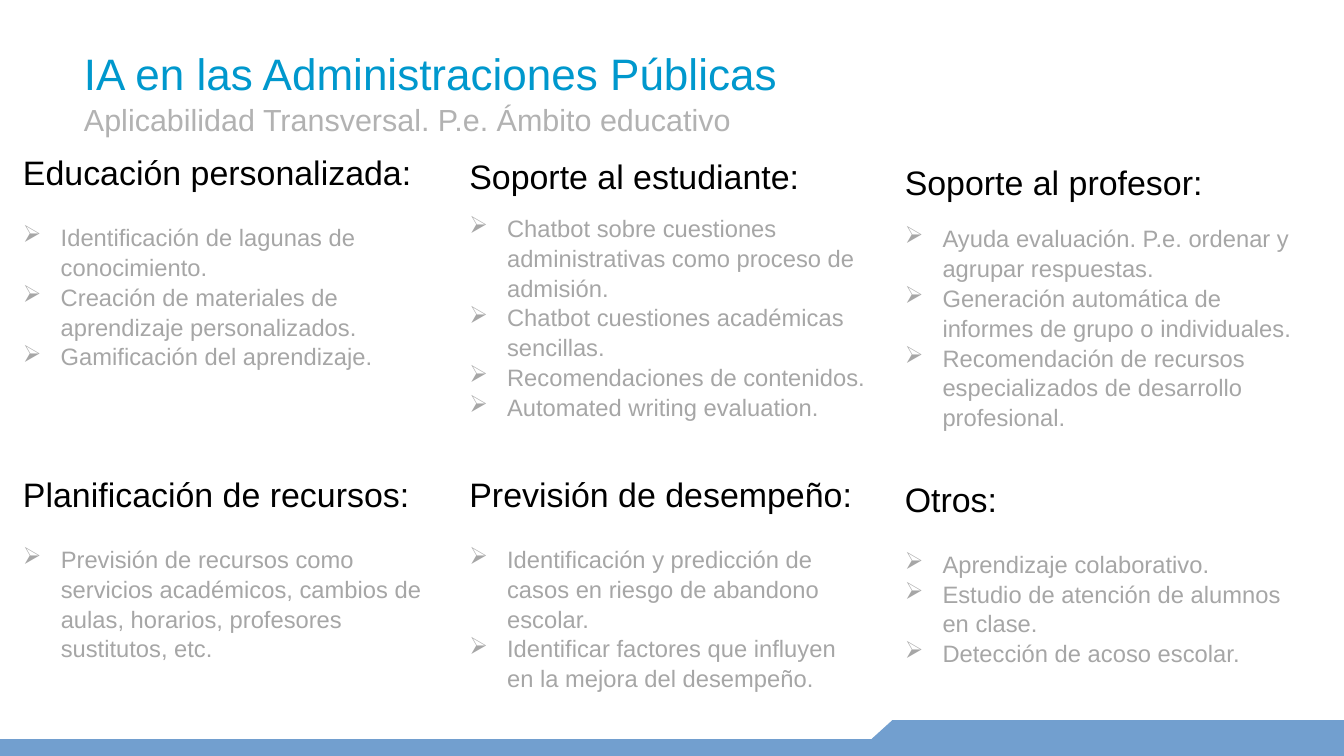
from pptx import Presentation
from pptx.dml.color import RGBColor
from pptx.enum.shapes import MSO_SHAPE
from pptx.oxml.ns import qn
from pptx.util import Inches, Pt
from lxml.etree import SubElement

SLIDE_SIZE = (11.02, 6.2)
BLUE, BLACK, GREY, BAR = "0098CD", "000000", "A6A6A6", "729FCF"
LINE_SPACING = 1.05
HANGING = 0.31
BULLET = "➢"

TITLE_BOX = (0.59, 0.31, 8.78, 1.06)
TITLE_LINES = [
    ("IA en las Administraciones Públicas", 26, BLUE),
    ("Aplicabilidad Transversal. P.e. Ámbito educativo", 18, "B2B2B2"),
]

COLUMNS = (0.09, 3.75, 7.32)
TOPICS = [
    (0, 1.18, 3.76, 2.15, 17, "Educación personalizada:", [
        "Identificación de lagunas de conocimiento.",
        "Creación de materiales de aprendizaje personalizados.",
        "Gamificación del aprendizaje.",
    ]),
    (1, 1.21, 3.63, 2.52, 9.5, "Soporte al estudiante:", [
        "Chatbot sobre cuestiones administrativas como proceso de admisión.",
        "Chatbot cuestiones académicas sencillas.",
        "Recomendaciones de contenidos.",
        "Automated writing evaluation.",
    ]),
    (2, 1.26, 3.48, 2.56, 12, "Soporte al profesor:", [
        "Ayuda evaluación. P.e. ordenar y agrupar respuestas.",
        "Generación automática de informes de grupo o individuales.",
        "Recomendación de recursos especializados de desarrollo profesional.",
    ]),
    (0, 3.82, 3.52, 1.38, 17, "Planificación de recursos:", [
        "Previsión de recursos como servicios académicos, cambios de aulas, "
        "horarios, profesores sustitutos, etc.",
    ]),
    (1, 3.82, 3.38, 1.62, 17, "Previsión de desempeño:", [
        "Identificación y predicción de casos en riesgo de abandono escolar.",
        "Identificar factores que influyen en la mejora del desempeño.",
    ]),
    (2, 3.86, 3.38, 1.62, 17, "Otros:", [
        "Aprendizaje colaborativo.",
        "Estudio de atención de alumnos en clase.",
        "Detección de acoso escolar.",
    ]),
]

FOOTER_BARS = [(0, 6.07, 11.02, 0.14), (7.32, 5.91, 3.7, 0.29)]
FOOTER_SLOPE = [(7.32, 5.91), (7, 6.2), (7.32, 6.2)]


def color(value):
    return RGBColor.from_string(value)


def add_text_box(slide, box):
    frame = slide.shapes.add_textbox(*map(Inches, box)).text_frame
    frame.word_wrap = True
    return frame


def add_line(frame, text, size, fill):
    first = frame.paragraphs[0]
    paragraph = frame.add_paragraph() if first.runs else first
    paragraph.line_spacing = LINE_SPACING
    run = paragraph.add_run()
    run.text = text
    for name, value in {"name": "Arial", "size": Pt(size)}.items():
        setattr(run.font, name, value)
    run.font.color.rgb = color(fill)
    return paragraph


def add_bullet(paragraph):
    properties = paragraph._p.get_or_add_pPr()
    properties.set("marL", str(Inches(HANGING)))
    properties.set("indent", str(-Inches(HANGING)))
    bullet_color = SubElement(properties, qn("a:buClr"))
    SubElement(bullet_color, qn("a:srgbClr"), val=GREY)
    SubElement(properties, qn("a:buChar"), char=BULLET)


def paint(shape):
    shape.shadow.inherit = False
    shape.fill.solid()
    shape.fill.fore_color.rgb = color(BAR)
    shape.line.color.rgb = color(BAR)
    shape.line.width = Pt(0.75)


def main():
    presentation = Presentation()
    presentation.slide_width, presentation.slide_height = map(Inches, SLIDE_SIZE)
    slide = presentation.slides.add_slide(presentation.slide_layouts[6])

    title = add_text_box(slide, TITLE_BOX)
    for line in TITLE_LINES:
        add_line(title, *line)

    for bar in FOOTER_BARS:
        paint(slide.shapes.add_shape(MSO_SHAPE.RECTANGLE, *map(Inches, bar)))
    start, *corners = [tuple(map(Inches, point)) for point in FOOTER_SLOPE]
    slope = slide.shapes.build_freeform(*start)
    slope.add_line_segments(corners, close=True)
    paint(slope.convert_to_shape())

    for column, top, width, height, gap, heading, items in TOPICS:
        frame = add_text_box(slide, (COLUMNS[column], top, width, height))
        add_line(frame, heading, 20, BLACK).space_after = Pt(gap)
        for item in items:
            add_bullet(add_line(frame, item, 14, GREY))

    presentation.save("out.pptx")


if __name__ == "__main__":
    main()
